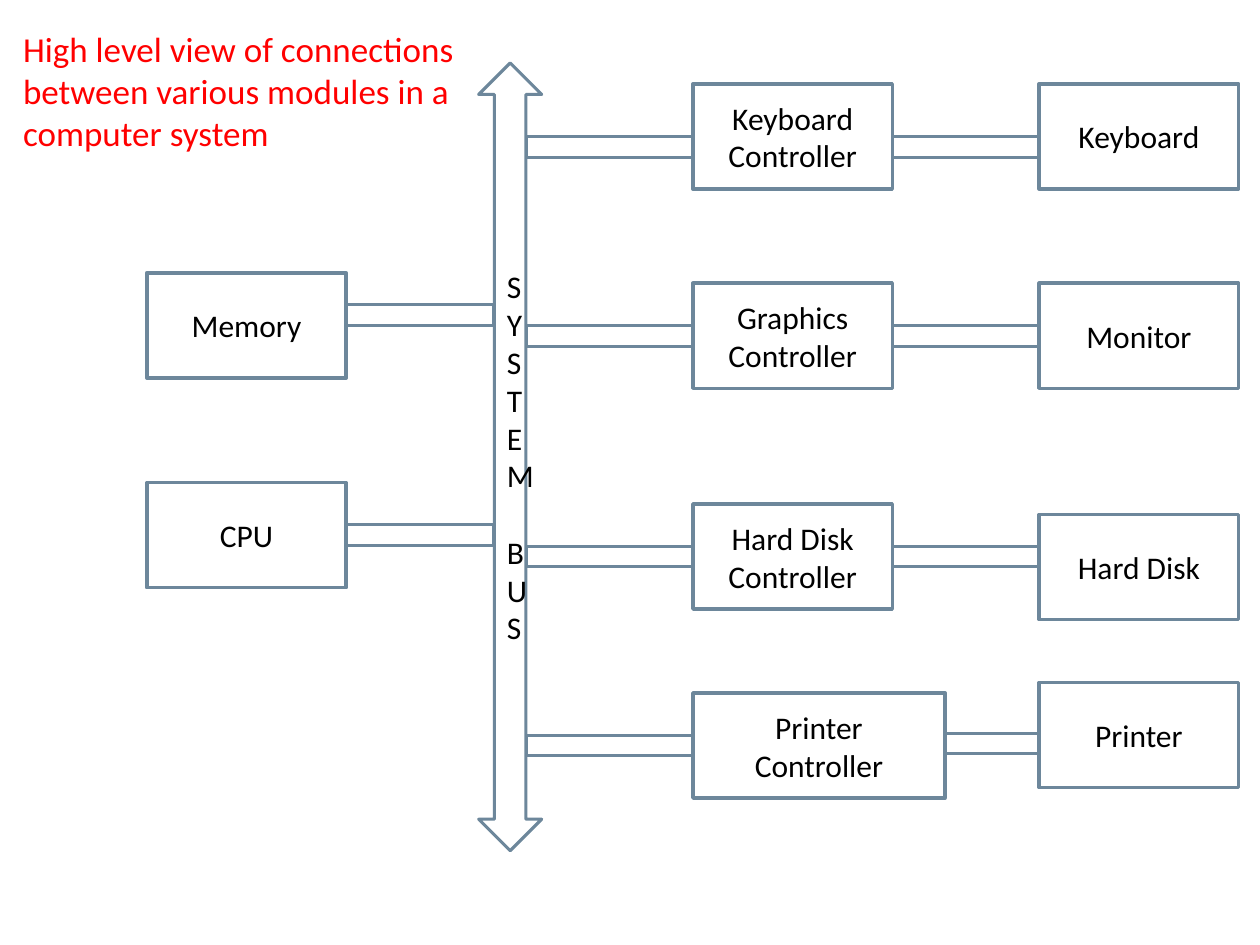
from pptx import Presentation
from pptx.dml.color import RGBColor
from pptx.enum.shapes import MSO_SHAPE as Preset
from pptx.enum.text import MSO_ANCHOR as Anchor, PP_ALIGN as Align
from pptx.util import Cm, Pt

FONT = "Calibri"
STEEL = RGBColor(0x6D, 0x87, 0x9B)
WHITE = RGBColor(0xFF, 0xFF, 0xFF)
BLACK = RGBColor(0x00, 0x00, 0x00)
RED = RGBColor(0xFF, 0x00, 0x00)

BOX_WIDTH, BOX_HEIGHT = 4.02, 2.12
LINK_HEIGHT = 0.42
BUS_LINK_WIDTH = 3.39

CORE_MODULES = [("Memory", 0, 0.64), ("CPU", 4.23, 5.08)]

PERIPHERALS = [
    ("Keyboard\nController", "Keyboard", BOX_WIDTH, 0, 0, 1.06, 1.06),
    ("Graphics\nController", "Monitor", BOX_WIDTH, 4.02, 4.02, 4.87, 4.87),
    ("Hard Disk\nController", "Hard Disk", BOX_WIDTH, 8.47, 8.68, 9.32, 9.32),
    ("Printer\nController", "Printer", 5.08, 12.28, 12.07, 13.13, 13.09),
]


def format_text(text_frame, size, color, alignment):
    """Apply font, size, colour and alignment to every run."""
    for paragraph in text_frame.paragraphs:
        paragraph.alignment = alignment
        for run in paragraph.runs:
            run.font.name = FONT
            run.font.size = Pt(size)
            run.font.color.rgb = color


def add_outlined(slide, preset, left, top, width, height, line_width=1.75):
    """Add an unfilled shape with a steel outline."""
    shape = slide.shapes.add_shape(preset, Cm(left), Cm(top), Cm(width), Cm(height))
    shape.shadow.inherit = False
    shape.fill.background()
    shape.line.color.rgb = STEEL
    shape.line.width = Pt(line_width)
    return shape


def add_link(slide, left, top, width):
    """Add a thin bar that joins two modules."""
    add_outlined(slide, Preset.RECTANGLE, left, top, width, LINK_HEIGHT)


def add_module(slide, label, left, top, width=BOX_WIDTH):
    """Add a labelled module box."""
    box = add_outlined(slide, Preset.RECTANGLE, left, top, width, BOX_HEIGHT, 2)
    box.fill.solid()
    box.fill.fore_color.rgb = WHITE
    box.text_frame.text = label
    box.text_frame.vertical_anchor = Anchor.MIDDLE
    format_text(box.text_frame, 18, BLACK, Align.CENTER)


def add_title(slide, left, top, width, height):
    """Place the heading in the title placeholder."""
    title = slide.shapes.title
    title.left, title.top = Cm(left), Cm(top)
    title.width, title.height = Cm(width), Cm(height)
    text_frame = title.text_frame
    text_frame.text = (
        "High level view of connections between various modules in a computer system"
    )
    text_frame.word_wrap = True
    text_frame.vertical_anchor = Anchor.TOP
    format_text(text_frame, 20, RED, Align.LEFT)


def add_bus(slide, left, top, width, height):
    """Draw the system bus with one letter on each line."""
    bus = add_outlined(slide, Preset.UP_DOWN_ARROW, left, top, width, height)
    text_frame = bus.text_frame
    text_frame.text = "\n".join("SYSTEMBUS")
    text_frame.word_wrap = True
    text_frame.vertical_anchor = Anchor.MIDDLE
    format_text(text_frame, 18, BLACK, Align.CENTER)
    text_frame.paragraphs[len("SYSTEM")].space_before = Pt(22)


def add_core(slide, left, top, width):
    """Draw memory and CPU, linked to the bus at the right edge."""
    for label, box_top, link_top in CORE_MODULES:
        add_link(slide, left + BOX_WIDTH, top + link_top, width - BOX_WIDTH)
        add_module(slide, label, left, top + box_top)


def add_peripherals(slide, left, top, width):
    """Draw each controller and its device, linked to the bus at the left edge."""
    controller_left = left + 3.35
    device_left = left + width - BOX_WIDTH
    for (controller, device, controller_width, controller_top, device_top,
         bus_link_top, device_link_top) in PERIPHERALS:
        controller_right = controller_left + controller_width
        add_link(slide, left, top + bus_link_top, BUS_LINK_WIDTH)
        add_link(slide, controller_right, top + device_link_top, 2.96)
        add_module(slide, device, device_left, top + device_top)
        add_module(slide, controller, controller_left, top + controller_top,
                   controller_width)


def main():
    """Build the slide and save it."""
    presentation = Presentation()
    presentation.slide_width, presentation.slide_height = Cm(25.4), Cm(19.05)
    slide = presentation.slides.add_slide(presentation.slide_layouts[5])
    add_title(slide, 0.21, 0.42, 9.31, 2.82)
    add_bus(slide, 9.65, 1.27, 1.27, 15.88)
    add_core(slide, 2.96, 5.5, 6.99)
    add_peripherals(slide, 10.62, 1.69, 14.35)
    presentation.save("out.pptx")


if __name__ == "__main__":
    main()
